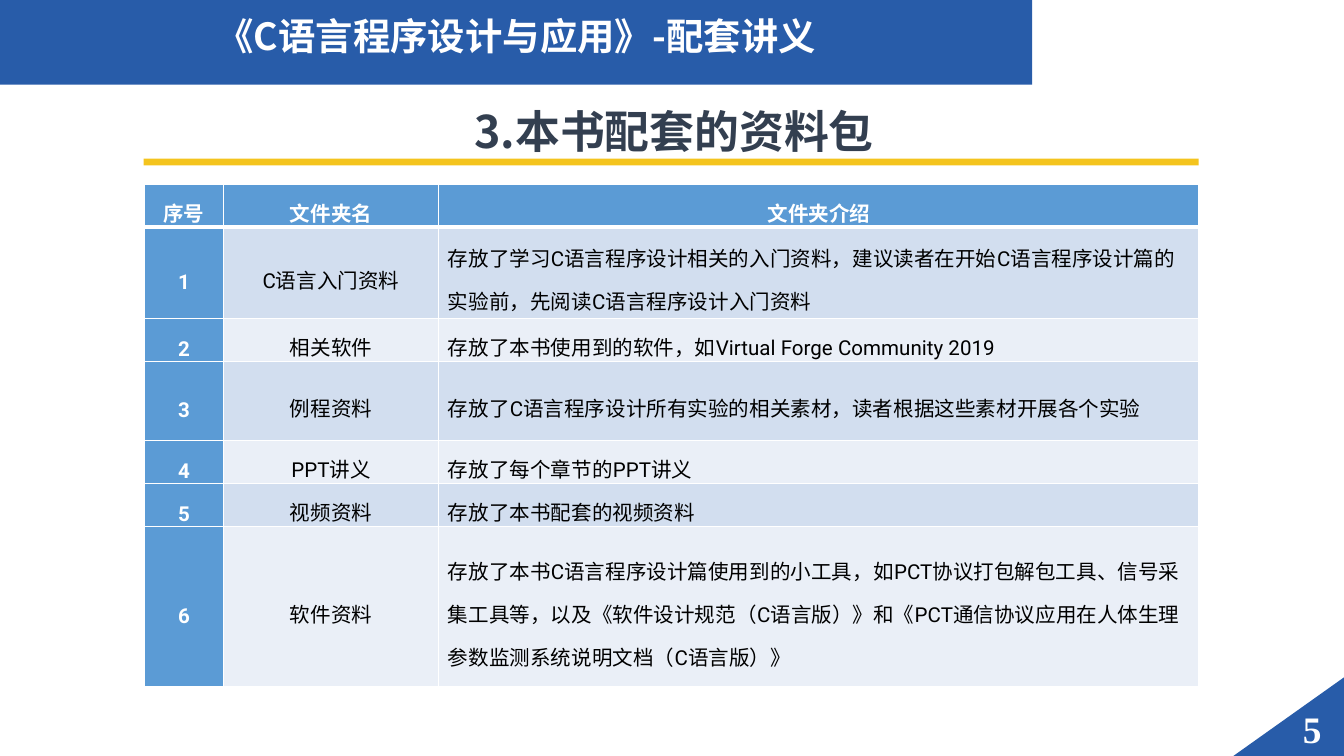
from lxml.etree import SubElement
from pptx import Presentation
from pptx.dml.color import RGBColor
from pptx.enum.shapes import MSO_SHAPE as Shape
from pptx.enum.text import MSO_ANCHOR as Anchor, PP_ALIGN as Align
from pptx.oxml.ns import qn
from pptx.util import Pt

BLUE = RGBColor(0x28, 0x5C, 0xA9)
YELLOW = RGBColor(0xF4, 0xC4, 0x1E)
SLATE = RGBColor(0x33, 0x3F, 0x50)
HEAD_BLUE = RGBColor(0x5B, 0x9B, 0xD5)
BANDS = [RGBColor(0xEA, 0xEF, 0xF7), RGBColor(0xD2, 0xDE, 0xEF)]
WHITE = RGBColor(0xFF, 0xFF, 0xFF)
BLACK = RGBColor(0, 0, 0)

HAN_FONT = "Noto Sans CJK SC"
COLUMN_WIDTHS = [42.5, 115.2, 407.5]
ROW_HEIGHTS = [23, 49, 23, 42.5, 23, 23, 85.7]
ROWS = [
    ("序号", "文件夹名", "文件夹介绍"),
    ("1", "C语言入门资料",
     "存放了学习C语言程序设计相关的入门资料，建议读者在开始C语言程序设计篇的实验前，"
     "先阅读C语言程序设计入门资料"),
    ("2", "相关软件", "存放了本书使用到的软件，如Virtual Forge Community 2019"),
    ("3", "例程资料", "存放了C语言程序设计所有实验的相关素材，读者根据这些素材开展各个实验"),
    ("4", "PPT讲义", "存放了每个章节的PPT讲义"),
    ("5", "视频资料", "存放了本书配套的视频资料"),
    ("6", "软件资料",
     "存放了本书C语言程序设计篇使用到的小工具，如PCT协议打包解包工具、信号采集工具等，"
     "以及《软件设计规范（C语言版）》和《PCT通信协议应用在人体生理参数监测系统说明文档（C语言版）》"),
]


def set_format(target, values):
    for name, value in values.items():
        setattr(target, name, value)


def write_text(frame, text, font, size, color, bold, para_format):
    para = frame.paragraphs[0]
    set_format(para, para_format)
    span = para.add_run()
    span.text = text
    set_format(span.font, {"name": font, "size": Pt(size), "bold": bold})
    span.font.color.rgb = color
    SubElement(span.font._element, qn("a:ea"), typeface=HAN_FONT)


def add_block(page, kind, bounds, color, rotation=0):
    block = page.shapes.add_shape(kind, *map(Pt, bounds))
    block.shadow.inherit = False
    block.rotation = rotation
    block.fill.solid()
    block.fill.fore_color.rgb = color
    block.line.fill.background()


def add_label(page, bounds, text, font, size, color, para_format, frame_format):
    box = page.shapes.add_textbox(*map(Pt, bounds))
    set_format(box.text_frame, {"word_wrap": True, **frame_format})
    write_text(box.text_frame, text, font, size, color, True, para_format)


def add_cell_borders(cell, widths):
    properties = cell._tc.get_or_add_tcPr()
    for side, width in zip("LRTB", widths):
        line = SubElement(properties, qn(f"a:ln{side}"), w=str(Pt(width)))
        fill = SubElement(line, qn("a:solidFill"))
        SubElement(fill, qn("a:srgbClr"), val=str(WHITE))


def fill_cell(cell, text, row, column):
    heading = row == 0 or column == 0
    set_format(cell, {"vertical_anchor": Anchor.MIDDLE,
                      "margin_left": Pt(5), "margin_right": Pt(5),
                      "margin_top": 0, "margin_bottom": 0})
    add_cell_borders(cell, [1, 1, 3 if row == 1 else 1, 3 if row == 0 else 1])
    cell.fill.solid()
    cell.fill.fore_color.rgb = HEAD_BLUE if heading else BANDS[row % 2]
    align = Align.LEFT if column == 2 and row else Align.CENTER
    write_text(cell.text_frame, text, "Roboto", 11, WHITE if heading else BLACK,
               heading, {"alignment": align, "line_spacing": Pt(23)})


def add_folder_table(page, left, top):
    table = page.shapes.add_table(
        len(ROWS), len(COLUMN_WIDTHS), Pt(left), Pt(top),
        Pt(sum(COLUMN_WIDTHS)), Pt(sum(ROW_HEIGHTS))).table
    for column, width in zip(table.columns, COLUMN_WIDTHS):
        column.width = Pt(width)
    for row, height in zip(table.rows, ROW_HEIGHTS):
        row.height = Pt(height)
    for row, texts in enumerate(ROWS):
        for column, text in enumerate(texts):
            fill_cell(table.cell(row, column), text, row, column)


def main():
    deck = Presentation()
    set_format(deck, {"slide_width": Pt(720), "slide_height": Pt(405)})
    page = deck.slides.add_slide(deck.slide_layouts[6])

    add_block(page, Shape.RIGHT_TRIANGLE, (668.9, 354.2, 42.5, 59.8), BLUE, 270)
    add_label(page, (679.7, 378.7, 35.3, 23), "5", "Times New Roman", 20, WHITE,
              {"alignment": Align.RIGHT}, {"vertical_anchor": Anchor.MIDDLE})
    add_block(page, Shape.RECTANGLE, (0, 0, 553, 45.4), BLUE)
    add_block(page, Shape.RECTANGLE, (77, 85, 565.2, 3.6), YELLOW)
    add_label(page, (0, 7.2, 553, 31.7), "《C语言程序设计与应用》-配套讲义",
              HAN_FONT, 20, WHITE, {"alignment": Align.CENTER}, {"margin_top": 0})
    add_folder_table(page, 77.3, 98.6)
    add_label(page, (90, 46.1, 542.2, 31), "3.本书配套的资料包", HAN_FONT, 24, SLATE,
              {"alignment": Align.CENTER, "line_spacing": 1.2}, {})

    deck.save("out.pptx")


if __name__ == "__main__":
    main()
